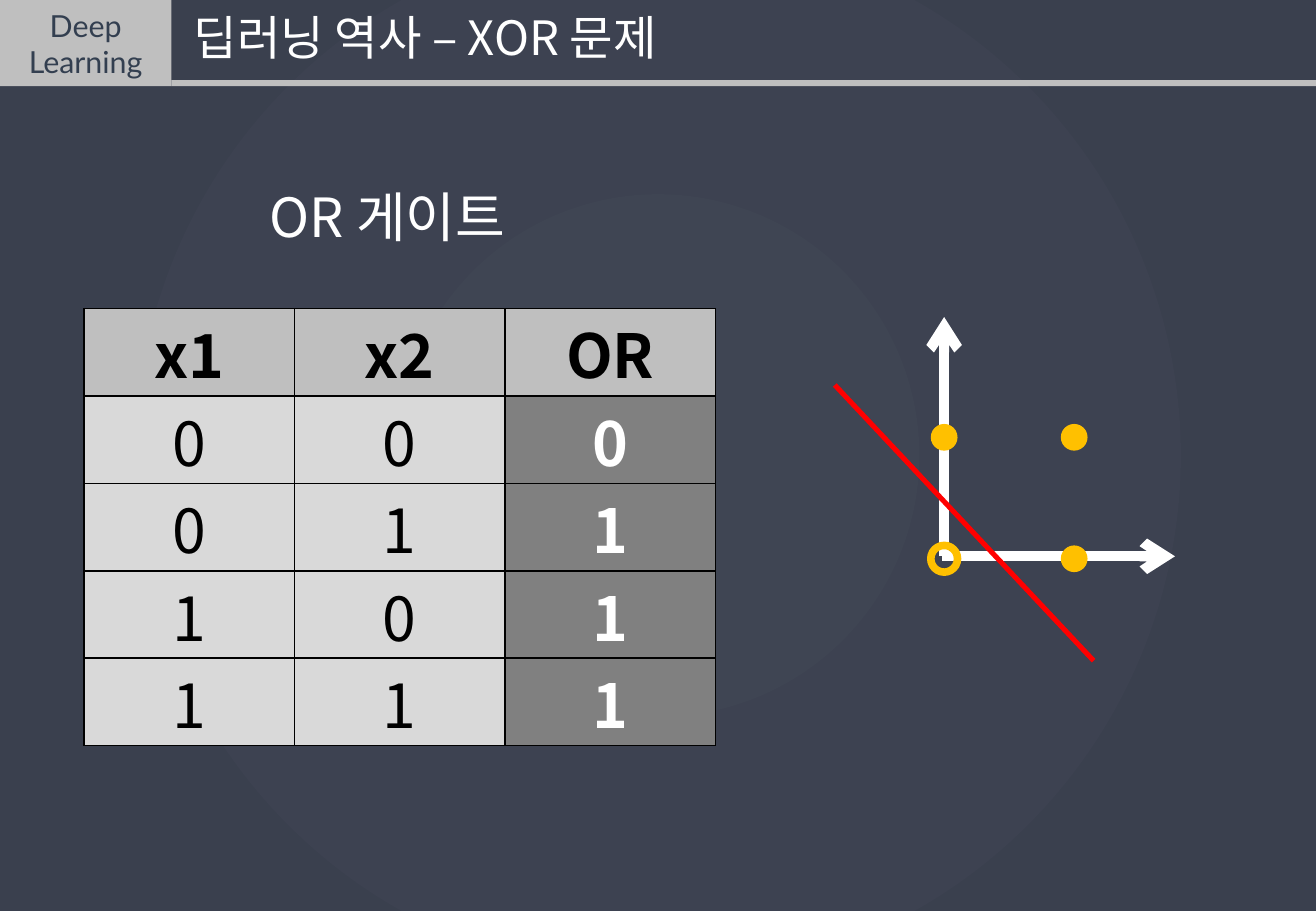
from lxml.etree import SubElement
from pptx import Presentation
from pptx.dml.color import RGBColor
from pptx.enum.shapes import MSO_CONNECTOR, MSO_SHAPE
from pptx.enum.text import MSO_ANCHOR, PP_ALIGN
from pptx.oxml import parse_xml
from pptx.oxml.ns import nsdecls, qn
from pptx.util import Inches, Pt

COLORS = {
    "glow": "3F4553", "night": "3A404E", "silver": "BFBFBF", "navy": "333F50",
    "white": "FFFFFF", "black": "000000", "light": "D9D9D9", "gray": "808080",
    "gold": "FFC000", "red": "FF0000",
}
KOREAN = "Noto Sans CJK KR"
WIDTH, HEIGHT = 10.83, 7.5
OR_TABLE = [("x1", "x2", "OR"), *((str(a), str(b), str(a | b)) for a in (0, 1) for b in (0, 1))]


def color(name):
    """Return a palette colour."""
    return RGBColor.from_string(COLORS[name])


def write(frame, text, size, ink, font=KOREAN, align=PP_ALIGN.CENTER, bold=False):
    """Fill a text frame with one paragraph per line of text."""
    frame.word_wrap = True
    frame.text = text
    for para in frame.paragraphs:
        para.alignment = align
        para.font.size = Pt(size)
        para.font.bold = bold
        para.font.name = font
        para.font.color.rgb = color(ink)
        SubElement(para._p.pPr.find(qn("a:defRPr")), qn("a:ea"), typeface=font)


def add_text(page, box, text, size, align=PP_ALIGN.CENTER):
    """Place a white text box."""
    label = page.shapes.add_textbox(*map(Inches, box))
    write(label.text_frame, text, size, "white", align=align)


def add_filled(shapes, kind, box, fill):
    """Place a preset shape with a plain fill and no outline."""
    shape = shapes.add_shape(kind, *map(Inches, box))
    shape.shadow.inherit = False
    shape.fill.solid()
    shape.fill.fore_color.rgb = color(fill)
    shape.line.fill.background()
    return shape


def add_line(shapes, start, end, ink, weight, arrow=False):
    """Draw a straight line, with an arrowhead at its end if asked."""
    line = shapes.add_connector(MSO_CONNECTOR.STRAIGHT, *map(Inches, (*start, *end)))
    line.line.color.rgb = color(ink)
    line.line.width = Pt(weight)
    if arrow:
        SubElement(line.line._get_or_add_ln(), qn("a:tailEnd"), type="arrow")
    SubElement(line._element.spPr, qn("a:effectLst"))


def paint_background(page):
    """Give the page a radial gradient from its centre."""
    fill = page.background.fill
    fill.gradient()
    for stop, name, position in zip(fill.gradient_stops, ("glow", "night"), (0, 0.98)):
        stop.color.rgb = color(name)
        stop.position = position
    gradient = page._element.find(".//" + qn("a:gradFill"))
    linear = gradient.find(qn("a:lin"))
    gradient.replace(linear, parse_xml(
        f'<a:path {nsdecls("a")} path="circle">'
        '<a:fillToRect l="50000" t="50000" r="50000" b="50000"/></a:path>'))


def add_header(page, box):
    """Build the badge, the rule and the title along the top."""
    left, top, width, height = box
    badge_width, rule = 1.41, 0.05
    add_filled(page.shapes, MSO_SHAPE.RECTANGLE,
               (left + badge_width, top + height - rule, width - badge_width, rule), "silver")
    badge = add_filled(page.shapes, MSO_SHAPE.RECTANGLE, (left, top, badge_width, height), "silver")
    badge.text_frame.vertical_anchor = MSO_ANCHOR.MIDDLE
    write(badge.text_frame, "Deep\nLearning", 18, "navy", font="Lato")
    add_text(page, (left + badge_width, top + 0.02, width - badge_width, 0.58),
             " 딥러닝 역사 – XOR 문제", 28, PP_ALIGN.LEFT)


def add_borders(cell):
    """Outline a table cell in black."""
    properties = cell._tc.get_or_add_tcPr()
    for side in ("lnL", "lnR", "lnT", "lnB"):
        edge = SubElement(properties, qn(f"a:{side}"), w=str(Pt(1)))
        SubElement(SubElement(edge, qn("a:solidFill")), qn("a:srgbClr"), val=COLORS["black"])


def add_truth_table(page, box):
    """Build the truth table of the OR gate."""
    table = page.shapes.add_table(len(OR_TABLE), len(OR_TABLE[0]), *map(Inches, box)).table
    table.first_row = table.horz_banding = False
    for row, values in enumerate(OR_TABLE):
        for column, value in enumerate(values):
            cell = table.cell(row, column)
            result = column == len(values) - 1
            fill = "silver" if row == 0 else "gray" if result else "light"
            ink = "white" if row and result else "black"
            add_borders(cell)
            cell.fill.solid()
            cell.fill.fore_color.rgb = color(fill)
            cell.margin_top = cell.margin_bottom = 0
            cell.vertical_anchor = MSO_ANCHOR.BOTTOM
            write(cell.text_frame, value, 36, ink, bold=row == 0 or result)


def add_plot(page, box):
    """Draw the axes, the four inputs and the line that separates them."""
    left, top, width, height = box
    bottom, unit_x, unit_y, dot = top + height, 1.07, 1, 0.22
    shapes = page.shapes.add_group_shape().shapes
    add_line(shapes, (left, bottom), (left, top), "white", 6, arrow=True)
    add_line(shapes, (left - 0.02, bottom), (left + width, bottom), "white", 6, arrow=True)
    for x, y in ((1, 1), (1, 0), (0, 0), (0, 1)):
        place = (left + x * unit_x - dot / 2, bottom + 0.02 - y * unit_y - dot / 2, dot, dot)
        point = add_filled(shapes, MSO_SHAPE.OVAL, place, "gold")
        if not x | y:
            point.fill.background()
            point.line.color.rgb = color("gold")
            point.line.width = Pt(4.5)
    add_line(page.shapes, (left - 0.9, top + 0.56), (left + 1.23, bottom + 0.86), "red", 3)


def main():
    """Build the deck and save it."""
    deck = Presentation()
    deck.slide_width, deck.slide_height = Inches(WIDTH), Inches(HEIGHT)
    page = deck.slides.add_slide(deck.slide_layouts[6])
    paint_background(page)
    add_header(page, (0, 0, WIDTH, 0.71))
    add_text(page, (0.69, 1.46, 5, 0.64), "OR 게이트", 32)
    add_truth_table(page, (0.69, 2.54, 5.2, 3.6))
    add_plot(page, (7.77, 2.61, 1.9, 1.97))
    deck.save("out.pptx")


if __name__ == "__main__":
    main()
